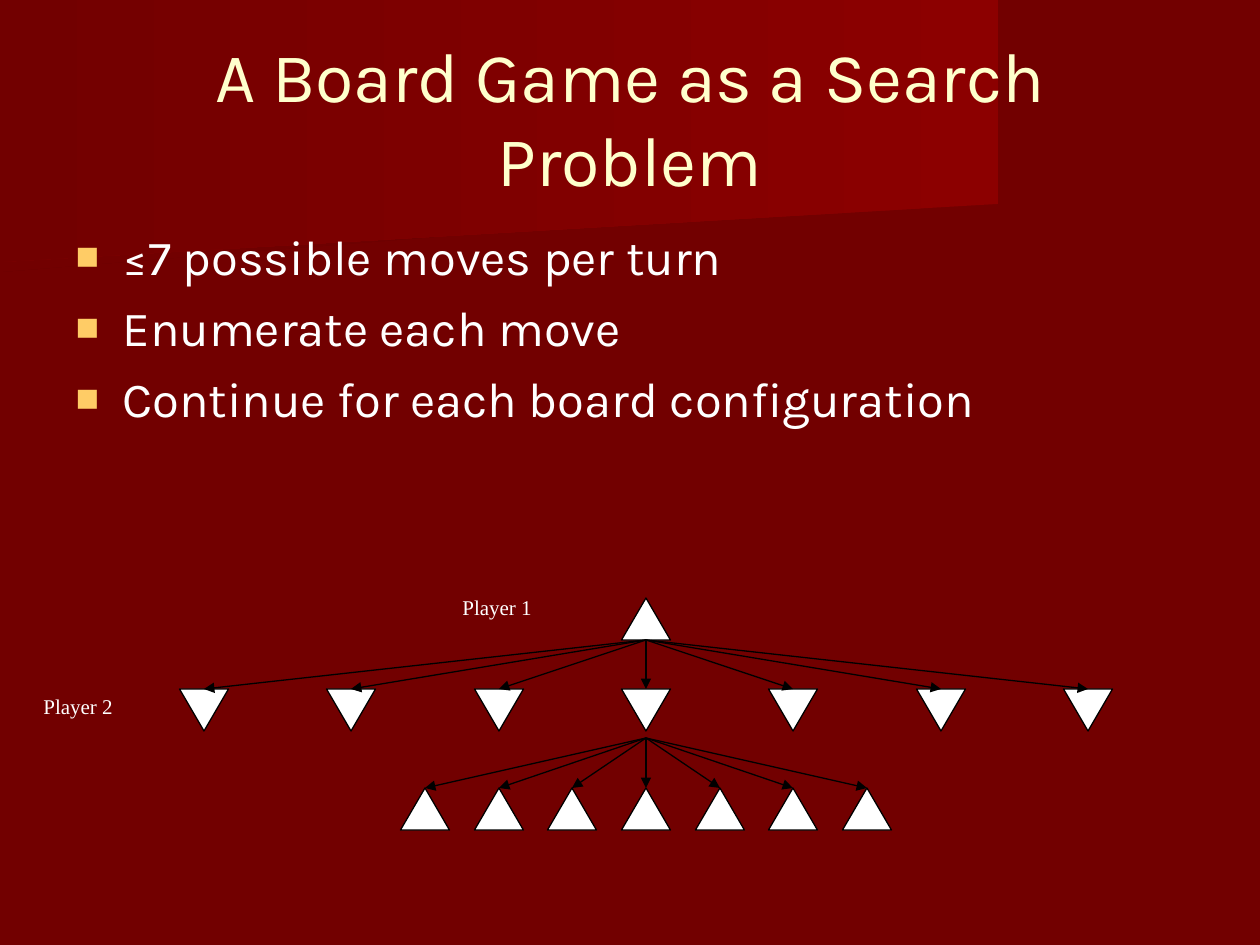
from lxml import etree
from pptx import Presentation
from pptx.dml.color import RGBColor
from pptx.enum.shapes import MSO_CONNECTOR, MSO_SHAPE
from pptx.enum.text import MSO_ANCHOR, MSO_AUTO_SIZE, PP_ALIGN
from pptx.oxml.ns import qn
from pptx.util import Emu, Pt

TRIANGLE = MSO_SHAPE.ISOSCELES_TRIANGLE
STRAIGHT = MSO_CONNECTOR.STRAIGHT
LEFT, CENTER = PP_ALIGN.LEFT, PP_ALIGN.CENTER
TOP, MIDDLE = MSO_ANCHOR.TOP, MSO_ANCHOR.MIDDLE
NO_AUTOFIT = MSO_AUTO_SIZE.NONE
EMU_PER_PX = 914400 / 126


def px(length):
    return Emu(round(length * EMU_PER_PX))


def color(hex_string):
    return RGBColor.from_string(hex_string)


def write(paragraph, text, font, size, fill, align=LEFT, before=0):
    paragraph.alignment = align
    paragraph.space_before = Pt(before)
    run = paragraph.add_run()
    run.text = text
    run.font.name = font
    run.font.size = Pt(size)
    run.font.color.rgb = color(fill)


class SlideBuilder:
    heading_font, label_font = "Karla", "Times New Roman"
    background, title_color, bullet_color = "720000", "FFFFCC", "FFCC66"
    white, black = "FFFFFF", "000000"
    line_width = 0.75
    node_width, node_height = 49, 42

    def __init__(self, slide):
        self.slide = slide
        slide.background.fill.solid()
        slide.background.fill.fore_color.rgb = color(self.background)

    def panel(self, points, bright):
        """Gradient backdrop outline, kept behind the placeholders."""
        corners = [(px(x), px(y)) for x, y in points]
        builder = self.slide.shapes.build_freeform(*corners[0])
        builder.add_line_segments(corners[1:], close=True)
        shape = builder.convert_to_shape()
        shape.shadow.inherit = False
        shape.line.fill.background()
        shape.fill.gradient()
        shape.fill.gradient_angle = 180
        for stop, shade in zip(shape.fill.gradient_stops, (bright, self.background)):
            stop.color.rgb = color(shade)
        self.slide.shapes.title._element.addprevious(shape._element)

    def frame(self, shape, left, top, width, height, anchor=TOP):
        """Place a text-bearing shape and return its text frame."""
        shape.left, shape.top = px(left), px(top)
        shape.width, shape.height = px(width), px(height)
        text_frame = shape.text_frame
        text_frame.word_wrap = True
        text_frame.auto_size = NO_AUTOFIT
        text_frame.vertical_anchor = anchor
        return text_frame

    def title(self, text, *box):
        text_frame = self.frame(self.slide.shapes.title, *box, anchor=MIDDLE)
        write(text_frame.paragraphs[0], text, font=self.heading_font, size=40,
              fill=self.title_color, align=CENTER)

    def bullets(self, items, *box):
        text_frame = self.frame(self.slide.placeholders[1], *box)
        for index, item in enumerate(items):
            paragraph = text_frame.add_paragraph() if index else text_frame.paragraphs[0]
            write(paragraph, item, font=self.heading_font, size=28,
                  fill=self.white, before=7)
            self.square_bullet(paragraph)

    def square_bullet(self, paragraph):
        properties = paragraph._p.get_or_add_pPr()
        properties.set("marL", str(px(47)))
        properties.set("indent", str(px(-47)))
        bullet_fill = etree.SubElement(properties, qn("a:buClr"))
        etree.SubElement(bullet_fill, qn("a:srgbClr"), val=self.bullet_color)
        etree.SubElement(properties, qn("a:buSzPct"), val="80000")
        etree.SubElement(properties, qn("a:buChar"), char="■")

    def label(self, text, *box):
        shape = self.slide.shapes.add_textbox(0, 0, 0, 0)
        text_frame = self.frame(shape, *box)
        write(text_frame.paragraphs[0], text, font=self.label_font, size=12,
              fill=self.white)

    def node(self, center, top, rotation=0):
        shape = self.slide.shapes.add_shape(
            TRIANGLE, px(center - self.node_width / 2), px(top),
            px(self.node_width), px(self.node_height))
        shape.rotation = rotation
        shape.shadow.inherit = False
        shape.fill.solid()
        shape.fill.fore_color.rgb = color(self.white)
        shape.line.color.rgb = color(self.black)
        shape.line.width = Pt(self.line_width)

    def arrow(self, start_x, start_y, end_x, end_y):
        connector = self.slide.shapes.add_connector(
            STRAIGHT, px(start_x), px(start_y), px(end_x), px(end_y))
        connector.line.color.rgb = color(self.black)
        connector.line.width = Pt(self.line_width)
        etree.SubElement(connector.line._get_or_add_ln(), qn("a:tailEnd"), type="triangle")
        etree.SubElement(connector._element.spPr, qn("a:effectLst"))

    def branch(self, center, origin, top, spread, rotation=0, moves=7):
        """Row of evenly spaced nodes with an arrow to each from one origin."""
        centers = [center + round(spread * (move / (moves - 1) - 0.5))
                   for move in range(moves)]
        for node_center in centers:
            self.node(node_center, top, rotation)
        for node_center in centers:
            self.arrow(center, origin, node_center, top)


def main():
    presentation = Presentation()
    presentation.slide_width, presentation.slide_height = px(1260), px(945)
    builder = SlideBuilder(presentation.slides.add_slide(presentation.slide_layouts[1]))

    # Backdrop
    builder.panel([(980, 193), (0, 272), (0, 127), (982, 127)], bright="6A0000")
    builder.panel([(998, 204), (0, 262), (0, 0), (998, 0)], bright="8C0000")

    # Title and list
    builder.title("A Board Game as a Search Problem", 63, 26, 1134, 181)
    builder.bullets(["≤7 possible moves per turn",
                     "Enumerate each move",
                     "Continue for each board configuration"], 63, 220, 1134, 300)

    # Search tree
    root_center = 646
    builder.node(root_center, 598)
    builder.branch(root_center, origin=640, top=689, spread=884, rotation=180)
    builder.branch(root_center, origin=738, top=788, spread=442)

    # Player labels
    builder.label("Player 1", 450, 588, 147, 73)
    builder.label("Player 2", 31, 687, 147, 73)

    presentation.save("out.pptx")


if __name__ == "__main__":
    main()
